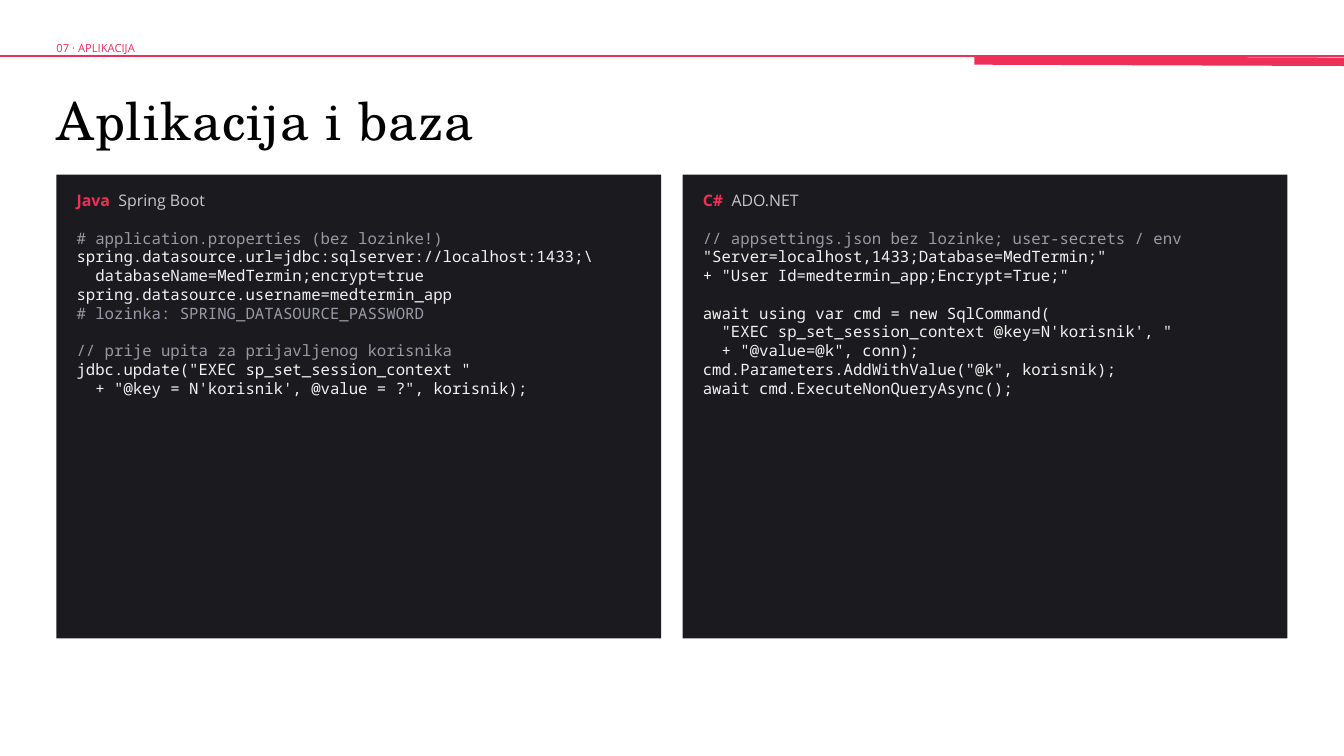
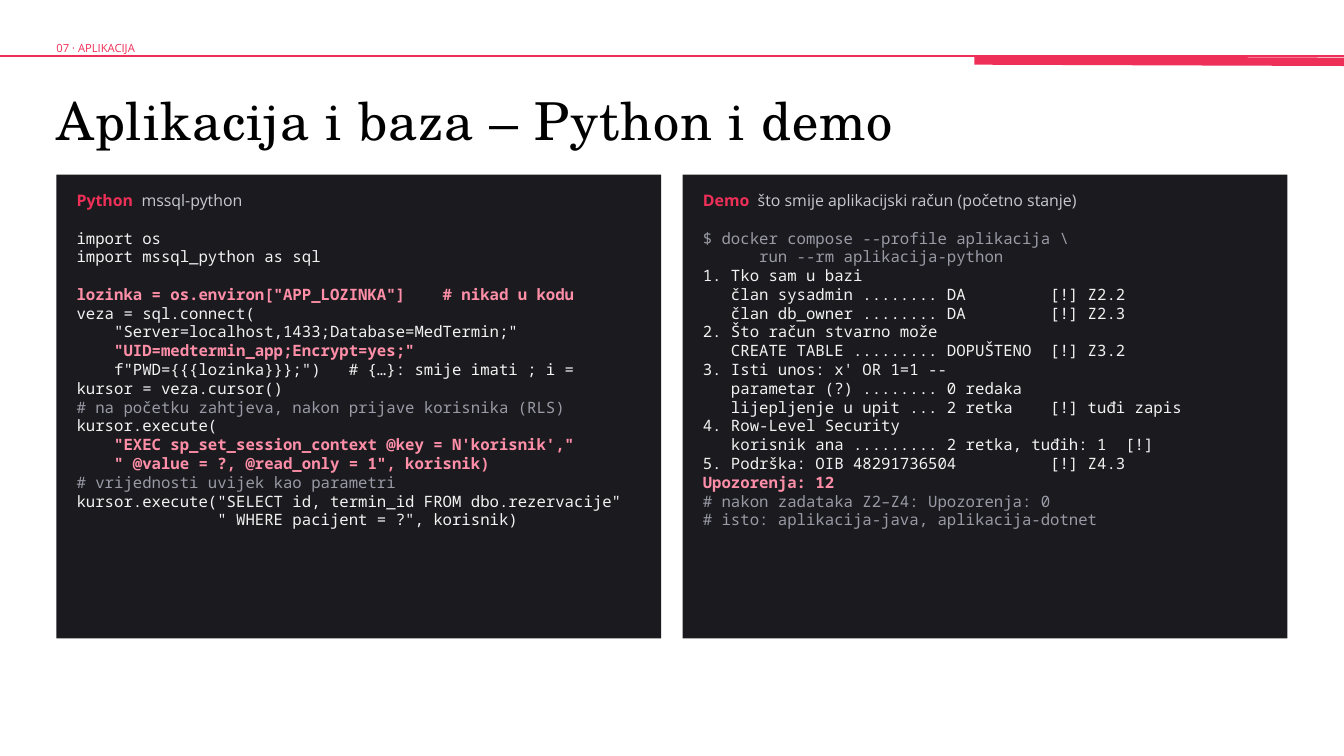
"""Build two code slides on connecting an application to its database."""
from dataclasses import dataclass

from lxml.etree import SubElement
from pptx import Presentation
from pptx.dml.color import RGBColor
from pptx.enum.shapes import MSO_CONNECTOR, MSO_SHAPE
from pptx.enum.text import MSO_ANCHOR, MSO_AUTO_SIZE, PP_ALIGN
from pptx.oxml.ns import qn
from pptx.util import Inches, Pt


@dataclass(frozen=True)
class Theme:
    accent: str = "EE2F58"
    ink: str = "000000"
    panel: str = "1B1B1F"
    label: str = "C8C8D0"
    plain: str = "F2F2F2"
    dim: str = "9A9AA6"
    hot: str = "FF8FA8"
    serif: str = "TeX Gyre Schola"
    sans: str = "Open Sans"
    mono: str = "Noto Sans Mono"
    title: float = 28
    kicker: float = 6
    head: float = 8.5
    code: float = 8.4
    lead: float = 10.05


theme = Theme()
kicker = "07 · APLIKACIJA"
marks = {"|": (theme.plain, False), "-": (theme.dim, False), "+": (theme.hot, True)}

# Each code line opens with its mark; an empty line is a gap.
slides = [
    ("Aplikacija i baza", [
        ("Java", "Spring Boot", r"""
-# application.properties (bez lozinke!)
|spring.datasource.url=jdbc:sqlserver://localhost:1433;\
|  databaseName=MedTermin;encrypt=true
|spring.datasource.username=medtermin_app
-# lozinka: SPRING_DATASOURCE_PASSWORD

-// prije upita za prijavljenog korisnika
|jdbc.update("EXEC sp_set_session_context "
|  + "@key = N'korisnik', @value = ?", korisnik);
"""),
        ("C#", "ADO.NET", r"""
-// appsettings.json bez lozinke; user-secrets / env
|"Server=localhost,1433;Database=MedTermin;"
|+ "User Id=medtermin_app;Encrypt=True;"

|await using var cmd = new SqlCommand(
|  "EXEC sp_set_session_context @key=N'korisnik', "
|  + "@value=@k", conn);
|cmd.Parameters.AddWithValue("@k", korisnik);
|await cmd.ExecuteNonQueryAsync();
"""),
    ]),
    ("Aplikacija i baza – Python i demo", [
        ("Python", "mssql-python", r"""
|import os
|import mssql_python as sql

+lozinka = os.environ["APP_LOZINKA"]    # nikad u kodu
|veza = sql.connect(
|    "Server=localhost,1433;Database=MedTermin;"
+    "UID=medtermin_app;Encrypt=yes;"
|    f"PWD={{{lozinka}}};")   # {…}: smije imati ; i =
|kursor = veza.cursor()
-# na početku zahtjeva, nakon prijave korisnika (RLS)
|kursor.execute(
+    "EXEC sp_set_session_context @key = N'korisnik',"
+    " @value = ?, @read_only = 1", korisnik)
-# vrijednosti uvijek kao parametri
|kursor.execute("SELECT id, termin_id FROM dbo.rezervacije"
|               " WHERE pacijent = ?", korisnik)
"""),
        ("Demo", "što smije aplikacijski račun (početno stanje)", r"""
-$ docker compose --profile aplikacija \
-      run --rm aplikacija-python
|1. Tko sam u bazi
|   član sysadmin ........ DA         [!] Z2.2
|   član db_owner ........ DA         [!] Z2.3
|2. Što račun stvarno može
|   CREATE TABLE ......... DOPUŠTENO  [!] Z3.2
|3. Isti unos: x' OR 1=1 --
|   parametar (?) ........ 0 redaka
|   lijepljenje u upit ... 2 retka    [!] tuđi zapis
|4. Row-Level Security
|   korisnik ana ......... 2 retka, tuđih: 1  [!]
|5. Podrška: OIB 48291736504          [!] Z4.3
+Upozorenja: 12
-# nakon zadataka Z2–Z4: Upozorenja: 0
-# isto: aplikacija-java, aplikacija-dotnet
"""),
    ]),
]


def write(frame, lines, font, size, lead=1.0, after=0, track=0):
    """Fill a frame with lines of (text, colour, bold) runs; an empty line is a gap."""
    frame.margin_left = frame.margin_right = frame.margin_top = frame.margin_bottom = 0
    frame.word_wrap = True
    frame.auto_size = MSO_AUTO_SIZE.NONE
    frame.vertical_anchor = MSO_ANCHOR.TOP
    para, gap = None, 0
    for line in lines:
        if not line:
            gap = lead
            continue
        para = frame.add_paragraph() if para else frame.paragraphs[0]
        para.alignment = PP_ALIGN.LEFT
        para.line_spacing = lead
        para.space_before, para.space_after = Pt(0) + gap, Pt(after)
        gap = 0
        for text, color, bold in line:
            run = para.add_run()
            run.text = text
            run.font.name, run.font.size, run.font.bold = font, Pt(size), bold
            run.font.color.rgb = RGBColor.from_string(color)
            if track:
                run._r.get_or_add_rPr().set("spc", str(track))


deck = Presentation()
deck.slide_width = Inches(10)
deck.slide_height = deck.slide_width * 9 // 16
layout = deck.slide_layouts[1]
spots = [(0.42, 0.66, 8.7, 0.42), (0.42, 0.24, 8.7, 0.15)]
for item in list(layout.placeholders)[2:]:
    layout.shapes.element.remove(item.element)

for name, panels in slides:
    slide = deck.slides.add_slide(layout)
    if len(deck.slides) == 1:
        for left, start, end, width in [(0, 0.42, 0.42, 1), (7.25, 0.46, 0.45, 4.5)]:
            rule = slide.shapes.add_connector(
                MSO_CONNECTOR.STRAIGHT, Inches(10), Inches(start), Inches(left), Inches(end))
            rule.line.color.rgb = RGBColor.from_string(theme.accent)
            rule.line.width = Pt(width)
            SubElement(rule.element.spPr, qn("a:effectLst"))
            layout.shapes.element.append(rule.element)

    for item, spot in zip(slide.placeholders, spots):
        item.left, item.top, item.width, item.height = map(Inches, spot)
    write(slide.shapes.title.text_frame, [[(name, theme.ink, False)]],
          theme.serif, theme.title, track=50)
    body = slide.placeholders[1].text_frame
    write(body, [[(kicker, theme.accent, False)]], theme.sans, theme.kicker, lead=Pt(12))
    props = body.paragraphs[0]._p.get_or_add_pPr()
    props.set("marL", "0")
    props.set("indent", "0")
    SubElement(props, qn("a:buNone"))

    for col, (lang, tool, code) in enumerate(panels):
        left = 0.42 + col * 4.66
        card = slide.shapes.add_shape(
            MSO_SHAPE.RECTANGLE, Inches(left), Inches(1.3), Inches(4.5), Inches(3.45))
        card.shadow.inherit = False
        card.fill.solid()
        card.fill.fore_color.rgb = RGBColor.from_string(theme.panel)
        card.line.fill.background()
        head, text = [
            slide.shapes.add_textbox(Inches(left + 0.15), Inches(top), Inches(4.2), Inches(high))
            for top, high in [(1.4, 0.22), (1.7, 2.97)]]
        write(head.text_frame, [[(lang + "  ", theme.accent, True), (tool, theme.label, False)]],
              theme.sans, theme.head, lead=1.12, after=4)
        lines = [[(row[1:], *marks[row[0]])] if row else [] for row in code.strip("\n").split("\n")]
        write(text.text_frame, lines, theme.mono, theme.code, lead=Pt(theme.lead))

deck.save("out.pptx")
